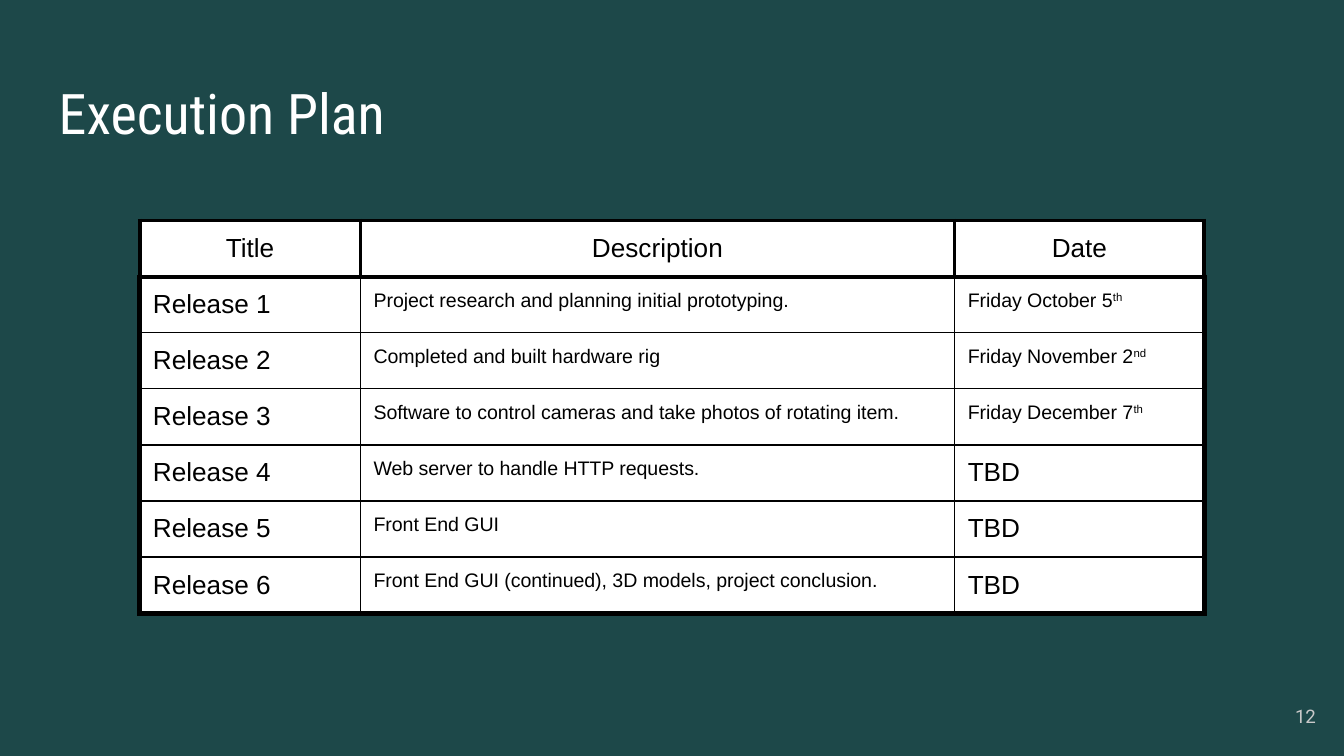
from dataclasses import dataclass

from lxml.etree import SubElement
from pptx import Presentation
from pptx.dml.color import RGBColor as RGB
from pptx.enum.text import MSO_ANCHOR as Anchor, MSO_AUTO_SIZE as AutoSize, PP_ALIGN as Align
from pptx.oxml.ns import qn
from pptx.util import Cm, Pt


@dataclass(frozen=True)
class Theme:
    background: RGB = RGB(0x1D, 0x48, 0x49)
    white: RGB = RGB(0xFF, 0xFF, 0xFF)
    black: RGB = RGB(0, 0, 0)
    muted: RGB = RGB(0xCA, 0xCA, 0xCA)
    title_font: str = "Roboto Condensed"
    number_font: str = "Roboto"
    table_font: str = "Arial"
    title_size: float = 30
    label_size: float = 14
    detail_size: float = 10.5
    number_size: float = 10
    inset: float = 0.25
    thin: float = 0.75
    medium: float = 2.25
    thick: float = 3


THEME = Theme()
COLUMN_WIDTHS = (4.17, 11.23, 4.72)
ROW_HEIGHT = 1.06
HEADERS = ("Title", "Description", "Date")
# Description, date, ordinal suffix
RELEASES = (
    ("Project research and planning initial prototyping.", "Friday October 5", "th"),
    ("Completed and built hardware rig", "Friday November 2", "nd"),
    ("Software to control cameras and take photos of rotating item.", "Friday December 7", "th"),
    ("Web server to handle HTTP requests.", "TBD", ""),
    ("Front End GUI", "TBD", ""),
    ("Front End GUI (continued), 3D models, project conclusion.", "TBD", ""),
)


def place(shape, left, top, width, height):
    shape.left, shape.top = Cm(left), Cm(top)
    shape.width, shape.height = Cm(width), Cm(height)


def set_margins(target):
    """Give a text frame or a table cell the common inset."""
    target.margin_left = target.margin_right = Cm(THEME.inset)
    target.margin_top = target.margin_bottom = Cm(THEME.inset)


def write(tf, text, font, size, color, align=Align.LEFT):
    p = tf.paragraphs[0]
    p.text = text
    p.alignment = align
    style_run(p.runs[0], font, size, color)
    return p


def style_run(r, font, size, color):
    r.font.name, r.font.size = font, Pt(size)
    r.font.color.rgb = color


def add_title(s, text):
    title = s.shapes.title
    place(title, 0.86, 1.24, 23.67, 1.6)
    tf = title.text_frame
    tf.auto_size = AutoSize.NONE
    tf.vertical_anchor = Anchor.TOP
    set_margins(tf)
    write(tf, text, THEME.title_font, THEME.title_size, THEME.white)


def add_slide_number(s, text):
    tf = s.shapes.add_textbox(Cm(23.6), Cm(13), Cm(1.52), Cm(1.09)).text_frame
    tf.word_wrap = True
    tf.vertical_anchor = Anchor.MIDDLE
    set_margins(tf)
    write(tf, text, THEME.number_font, THEME.number_size, THEME.muted, Align.RIGHT)


def set_borders(cell, left, right, top, bottom):
    """Draw solid cell borders; call before filling the cell, as the XML order requires."""
    tc_pr = cell._tc.get_or_add_tcPr()
    for side, width in zip("LRTB", (left, right, top, bottom)):
        line = SubElement(tc_pr, qn(f"a:ln{side}"), w=str(Pt(width)))
        fill = SubElement(line, qn("a:solidFill"))
        SubElement(fill, qn("a:srgbClr"), val=str(THEME.black))


def fill_cell(cell, text, size, borders, align=Align.LEFT, suffix=""):
    set_borders(cell, *borders)
    cell.fill.solid()
    cell.fill.fore_color.rgb = THEME.white
    set_margins(cell)
    p = write(cell.text_frame, text, THEME.table_font, size, THEME.black, align)
    if suffix:
        r = p.add_run()
        r.text = suffix
        style_run(r, THEME.table_font, size, THEME.black)
        r._r.get_or_add_rPr().set("baseline", "30000")


def add_release_table(s):
    rows, cols = len(RELEASES) + 1, len(HEADERS)
    table = s.shapes.add_table(rows, cols, Cm(2.64), Cm(4.17),
                               Cm(sum(COLUMN_WIDTHS)), Cm(rows * ROW_HEIGHT)).table
    for column, width in zip(table.columns, COLUMN_WIDTHS):
        column.width = Cm(width)
    for row in table.rows:
        row.height = Cm(ROW_HEIGHT)

    for col, header in enumerate(HEADERS):
        fill_cell(table.cell(0, col), header, THEME.label_size, (THEME.medium,) * 4, Align.CENTER)

    for row, (description, date, suffix) in enumerate(RELEASES, start=1):
        date_size = THEME.detail_size if suffix else THEME.label_size
        contents = (
            (f"Release {row}", THEME.label_size, ""),
            (description, THEME.detail_size, ""),
            (date, date_size, suffix),
        )
        for col, (text, size, ordinal) in enumerate(contents):
            borders = (
                THEME.thick if col == 0 else THEME.thin,
                THEME.thick if col == cols - 1 else THEME.thin,
                THEME.medium if row == 1 else THEME.thin,
                THEME.thick if row == rows - 1 else THEME.thin,
            )
            fill_cell(table.cell(row, col), text, size, borders, suffix=ordinal)


def main():
    prs = Presentation()
    prs.slide_width, prs.slide_height = Cm(25.4), Cm(14.29)
    s = prs.slides.add_slide(prs.slide_layouts[5])
    s.background.fill.solid()
    s.background.fill.fore_color.rgb = THEME.background
    add_title(s, "Execution Plan")
    add_release_table(s)
    add_slide_number(s, "12")
    prs.save("out.pptx")


if __name__ == "__main__":
    main()
